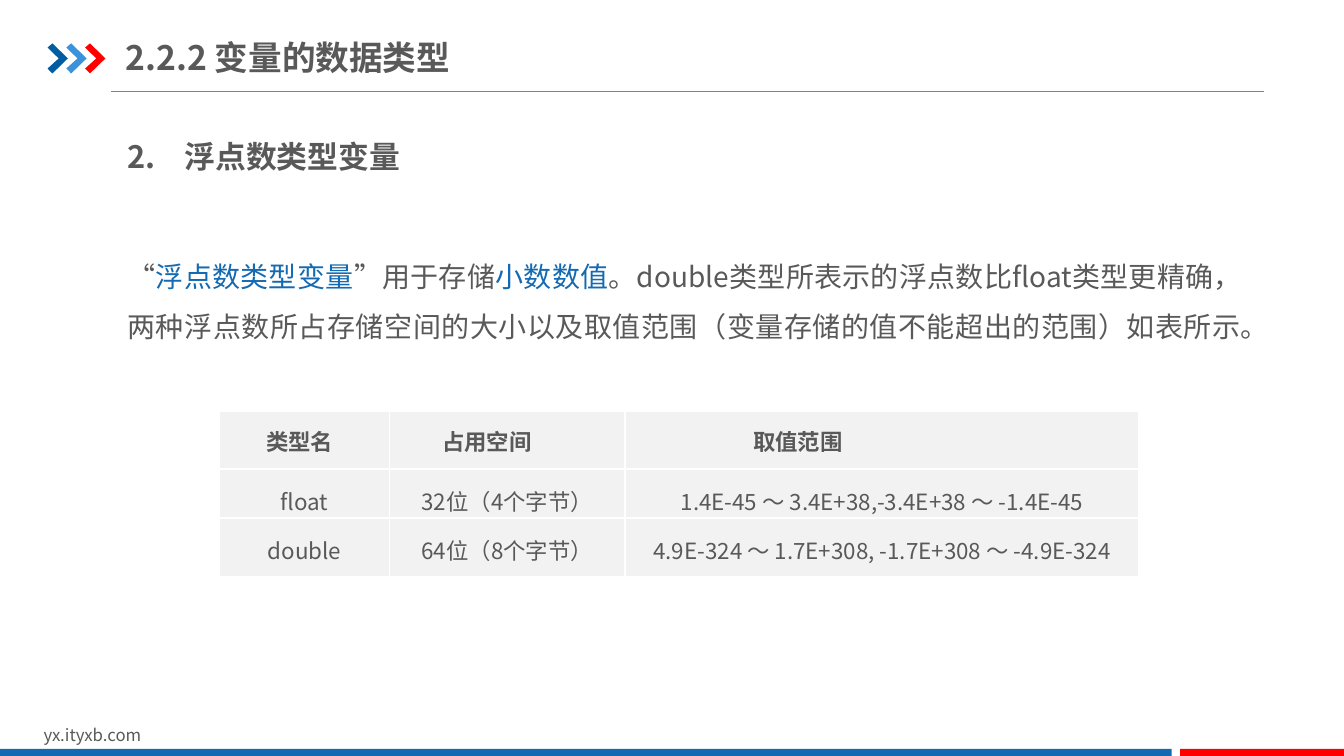
from dataclasses import dataclass

from lxml import etree
from pptx import Presentation
from pptx.dml.color import RGBColor
from pptx.enum.shapes import MSO_CONNECTOR, MSO_SHAPE
from pptx.enum.text import MSO_ANCHOR, MSO_AUTO_SIZE, PP_ALIGN
from pptx.oxml.ns import qn
from pptx.util import Pt

FONT = "Noto Sans CJK SC"
TEXT_GREY = RGBColor(0x59, 0x59, 0x59)
RULE_GREY = RGBColor(0x80, 0x80, 0x80)
CELL_GREY = RGBColor(0xF2, 0xF2, 0xF2)
BLUE = RGBColor(0x13, 0x69, 0xB2)
DARK_BLUE = RGBColor(0x00, 0x5D, 0xA2)
LIGHT_BLUE = RGBColor(0x39, 0x92, 0xDB)
RED = RGBColor(0xFF, 0x00, 0x00)

LEFT, CENTER, JUSTIFY = PP_ALIGN.LEFT, PP_ALIGN.CENTER, PP_ALIGN.JUSTIFY
TOP, MIDDLE = MSO_ANCHOR.TOP, MSO_ANCHOR.MIDDLE
NO_AUTOFIT = MSO_AUTO_SIZE.NONE
RECTANGLE = MSO_SHAPE.RECTANGLE
STRAIGHT = MSO_CONNECTOR.STRAIGHT

TITLE_AND_CONTENT = 1
CHEVRON_OUTLINE = [(0, 3), (3.5, 0), (14.5, 10.75), (3.5, 21.5), (0, 18), (8, 10.75)]
CHEVRON_LEFT, CHEVRON_TOP, CHEVRON_STEP = 34, 31, 13.4
COLUMN_WIDTHS = [121, 168.5, 367]
ROW_HEIGHTS = [41, 35, 42]


@dataclass
class Box:
    left: float
    top: float
    width: float
    height: float

    def lengths(self) -> list:
        return [Pt(value) for value in (self.left, self.top, self.width, self.height)]


@dataclass
class Bar:
    box: Box
    color: RGBColor


@dataclass
class TextRun:
    text: str
    color: RGBColor = TEXT_GREY


@dataclass
class HeaderCell:
    text: str
    indent: float


CHEVRON_COLORS = [DARK_BLUE, LIGHT_BLUE, RED]
BARS = [Bar(Box(0, 535, 837, 5), BLUE), Bar(Box(843, 535, 117, 5), RED)]
BODY_RUNS = [
    TextRun("“"),
    TextRun("浮点数类型变量", BLUE),
    TextRun("”用于存储"),
    TextRun("小数数值", BLUE),
    TextRun("。double类型所表示的浮点数比float类型更精确，两种浮点数所占存储空间的大小"
            "以及取值范围（变量存储的值不能超出的范围）如表所示。"),
]
HEADERS = [HeaderCell("类型名", 28), HeaderCell("占用空间", 33), HeaderCell("取值范围", 86.5)]
TYPE_ROWS = [
    ["float", "32位（4个字节）", "1.4E-45 ～ 3.4E+38,-3.4E+38 ～ -1.4E-45"],
    ["double", "64位（8个字节）", "4.9E-324 ～ 1.7E+308, -1.7E+308 ～ -4.9E-324"],
]


def format_paragraph(paragraph, size: float, bold: bool = False, align=LEFT,
                     spacing: float = 1.0) -> None:
    paragraph.alignment = align
    paragraph.line_spacing = spacing
    paragraph.space_before = Pt(0)
    font = paragraph.font
    font.size, font.bold, font.name = Pt(size), bold, FONT
    font.color.rgb = TEXT_GREY
    defaults = paragraph._p.pPr.find(qn("a:defRPr"))
    etree.SubElement(defaults, qn("a:ea"), typeface=FONT)


def set_indent(paragraph, indent: float) -> None:
    properties = paragraph._p.get_or_add_pPr()
    properties.set("marL", str(Pt(indent)))
    properties.set("indent", "0")


def format_frame(frame, side: float, edge: float, anchor=TOP) -> None:
    frame.word_wrap = True
    frame.auto_size = NO_AUTOFIT
    frame.vertical_anchor = anchor
    frame.margin_left = frame.margin_right = Pt(side)
    frame.margin_top = frame.margin_bottom = Pt(edge)


def place(shape, box: Box) -> None:
    shape.left, shape.top, shape.width, shape.height = box.lengths()


def fill_plain(shape, color: RGBColor) -> None:
    shape.shadow.inherit = False
    shape.fill.solid()
    shape.fill.fore_color.rgb = color
    shape.line.fill.background()


def add_decoration(slide) -> None:
    """Draw the title rule, the chevrons and the bars at the foot."""
    rule = slide.shapes.add_connector(STRAIGHT, Pt(79), Pt(65.5), Pt(903), Pt(65.5))
    rule.line.color.rgb = RULE_GREY
    rule.line.width = Pt(0.75)
    etree.SubElement(rule._element.spPr, qn("a:effectLst"))

    for index, color in enumerate(CHEVRON_COLORS):
        left = CHEVRON_LEFT + index * CHEVRON_STEP
        corners = [(Pt(left + x), Pt(CHEVRON_TOP + y)) for x, y in CHEVRON_OUTLINE]
        builder = slide.shapes.build_freeform(*corners[0])
        builder.add_line_segments(corners[1:], close=True)
        fill_plain(builder.convert_to_shape(), color)

    for bar in BARS:
        fill_plain(slide.shapes.add_shape(RECTANGLE, *bar.box.lengths()), bar.color)


def add_title(slide) -> None:
    title = slide.shapes.title
    place(title, Box(90, 21, 307, 39.5))
    format_frame(title.text_frame, 0, 5, MIDDLE)
    title.text_frame.text = "2.2.2 变量的数据类型"
    format_paragraph(title.text_frame.paragraphs[0], 24, bold=True)


def add_heading(slide) -> None:
    frame = slide.shapes.add_textbox(*Box(81.5, 80, 261, 44.5).lengths()).text_frame
    format_frame(frame, 9.5, 5)
    frame.text = "2.\t浮点数类型变量"
    paragraph = frame.paragraphs[0]
    tabs = etree.SubElement(paragraph._p.get_or_add_pPr(), qn("a:tabLst"))
    etree.SubElement(tabs, qn("a:tab"), pos=str(Pt(41)), algn="l")
    format_paragraph(paragraph, 22, bold=True, align=JUSTIFY, spacing=1.5)


def add_body(slide) -> None:
    body = slide.placeholders[1]
    place(body, Box(81.5, 168, 815, 82))
    format_frame(body.text_frame, 9.5, 5)
    paragraph = body.text_frame.paragraphs[0]
    set_indent(paragraph, 0)
    etree.SubElement(paragraph._p.get_or_add_pPr(), qn("a:buNone"))
    format_paragraph(paragraph, 20, align=JUSTIFY, spacing=1.5)
    for part in BODY_RUNS:
        run = paragraph.add_run()
        run.text = part.text
        if part.color != TEXT_GREY:
            run.font.color.rgb = part.color


def add_footer(slide) -> None:
    frame = slide.shapes.add_textbox(*Box(24, 514, 229, 21.5).lengths()).text_frame
    format_frame(frame, 7.2, 3.6)
    frame.text = "yx.ityxb.com"
    format_paragraph(frame.paragraphs[0], 12)


def format_cell(cell, text: str, anchor) -> None:
    cell.text = text
    cell.vertical_anchor = anchor
    cell.margin_left = cell.margin_right = Pt(5)
    cell.margin_top = cell.margin_bottom = 0
    properties = cell._tc.get_or_add_tcPr()
    for side in ("a:lnL", "a:lnR", "a:lnT", "a:lnB"):
        border = etree.SubElement(properties, qn(side), w=str(Pt(1)))
        solid = etree.SubElement(border, qn("a:solidFill"))
        etree.SubElement(solid, qn("a:srgbClr"), val="FFFFFF")
    cell.fill.solid()
    cell.fill.fore_color.rgb = CELL_GREY


def add_type_table(slide) -> None:
    box = Box(157, 294, sum(COLUMN_WIDTHS), sum(ROW_HEIGHTS))
    table = slide.shapes.add_table(len(ROW_HEIGHTS), len(COLUMN_WIDTHS), *box.lengths()).table
    table.first_row = table.horz_banding = False
    for column, width in zip(table.columns, COLUMN_WIDTHS):
        column.width = Pt(width)
    for row, height in zip(table.rows, ROW_HEIGHTS):
        row.height = Pt(height)

    for column_index, header in enumerate(HEADERS):
        cell = table.cell(0, column_index)
        format_cell(cell, header.text, MIDDLE)
        paragraph = cell.text_frame.paragraphs[0]
        set_indent(paragraph, header.indent)
        format_paragraph(paragraph, 16, bold=True)
    for row_index, values in enumerate(TYPE_ROWS, start=1):
        for column_index, value in enumerate(values):
            cell = table.cell(row_index, column_index)
            format_cell(cell, value, TOP)
            format_paragraph(cell.text_frame.paragraphs[0], 16, align=CENTER, spacing=1.5)


def main() -> None:
    presentation = Presentation()
    presentation.slide_width, presentation.slide_height = Pt(960), Pt(540)
    slide = presentation.slides.add_slide(presentation.slide_layouts[TITLE_AND_CONTENT])
    for add_part in (add_decoration, add_title, add_heading, add_body, add_type_table, add_footer):
        add_part(slide)
    presentation.save("out.pptx")


if __name__ == "__main__":
    main()
